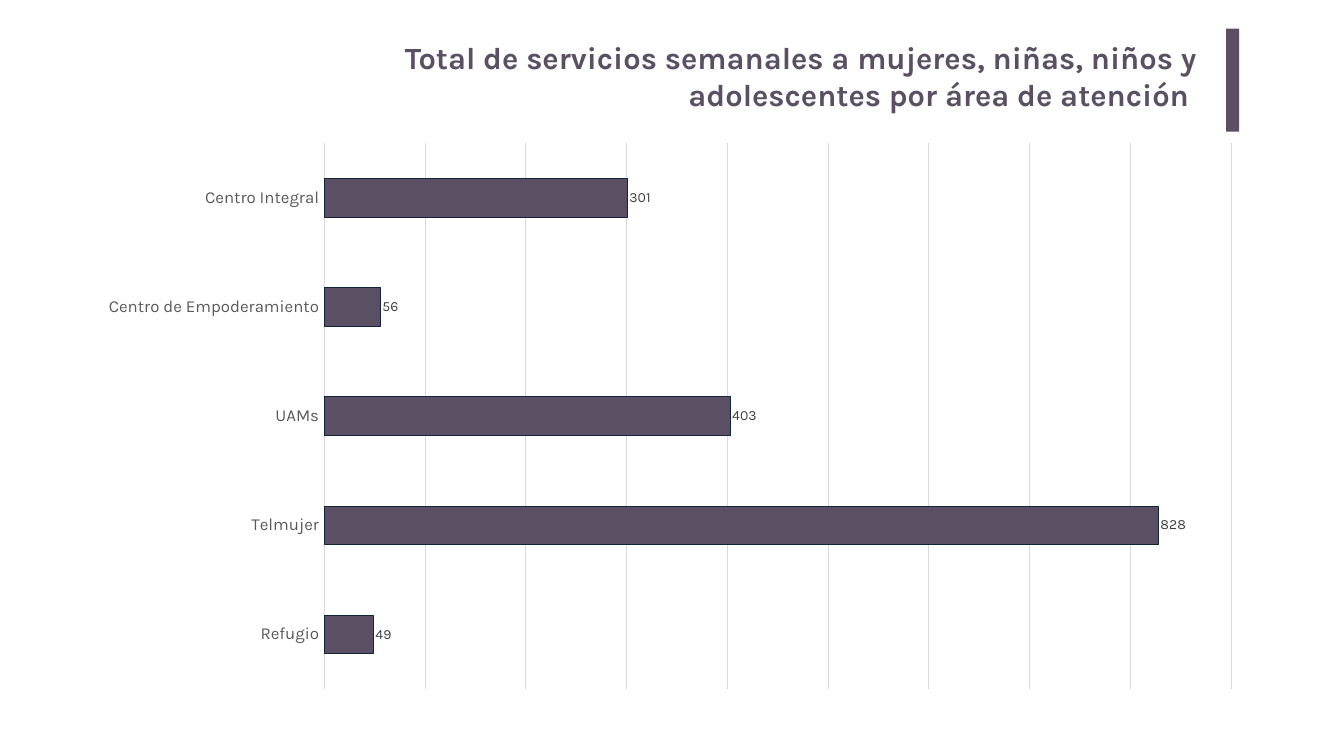
from lxml import etree
from pptx import Presentation
from pptx.chart.data import CategoryChartData
from pptx.dml.color import RGBColor
from pptx.enum.chart import XL_CHART_TYPE, XL_LABEL_POSITION, XL_TICK_LABEL_POSITION, XL_TICK_MARK
from pptx.enum.shapes import MSO_SHAPE
from pptx.enum.text import MSO_ANCHOR, MSO_AUTO_SIZE, PP_ALIGN
from pptx.oxml.ns import qn
from pptx.util import Inches, Pt

PURPLE = RGBColor(0x5B, 0x4F, 0x63)
NAVY = RGBColor(0x0F, 0x24, 0x3E)
GRID = RGBColor(0xD9, 0xD9, 0xD9)
AXIS_TEXT = RGBColor(0x59, 0x59, 0x59)
LABEL_TEXT = RGBColor(0x40, 0x40, 0x40)
BLACK = RGBColor(0, 0, 0)

TITLE = "Total de servicios semanales a mujeres, niñas, niños y adolescentes por área de atención "
SERVICES = {
    "Centro Integral": 301,
    "Centro de Empoderamiento": 56,
    "UAMs": 403,
    "Telmujer": 828,
    "Refugio": 49,
}


class SlideBuilder:
    font_name = "Karla"

    def __init__(self, slide):
        self.slide = slide

    def style_font(self, font, size, color, bold=False):
        for name, value in {"name": self.font_name, "size": Pt(size), "bold": bold}.items():
            setattr(font, name, value)
        font.color.rgb = color

    def style_line(self, line, color):
        line.color.rgb = color
        line.width = Pt(0.75)

    def title(self, text, box):
        sp = self.slide.shapes.title
        for name, value in zip(("left", "top", "width", "height"), box):
            setattr(sp, name, Inches(value))
        tf = sp.text_frame
        frame_format = {
            "word_wrap": True, "auto_size": MSO_AUTO_SIZE.NONE,
            "vertical_anchor": MSO_ANCHOR.TOP,
            "margin_left": Inches(0.2), "margin_right": Inches(0.2),
            "margin_top": Inches(0.1), "margin_bottom": Inches(0.1),
        }
        for name, value in frame_format.items():
            setattr(tf, name, value)
        p = tf.paragraphs[0]
        p.alignment = PP_ALIGN.RIGHT
        p.space_before = Pt(4)
        r = p.add_run()
        r.text = text
        self.style_font(r.font, 44, PURPLE, bold=True)

    def bar(self, box, color):
        sp = self.slide.shapes.add_shape(MSO_SHAPE.RECTANGLE, *map(Inches, box))
        sp.shadow.inherit = False
        sp.fill.solid()
        sp.fill.fore_color.rgb = color
        sp.line.fill.background()

    def bar_chart(self, values, box, plot_box):
        data = CategoryChartData()
        data.categories = list(values)
        data.add_series("Series 1", list(values.values()))
        chart = self.slide.shapes.add_chart(
            XL_CHART_TYPE.BAR_CLUSTERED, *map(Inches, box), data).chart
        chart.has_legend = False
        chart.has_title = False
        self.style_font(chart.font, 10, BLACK)

        # Axes
        cat = chart.category_axis
        cat.reverse_order = True
        cat.major_tick_mark = XL_TICK_MARK.NONE
        cat.tick_label_position = XL_TICK_LABEL_POSITION.LOW
        self.style_font(cat.tick_labels.font, 24, AXIS_TEXT)
        self.style_line(cat.format.line, GRID)
        val = chart.value_axis
        axis_format = {"minimum_scale": 0, "maximum_scale": 900, "major_unit": 100,
                       "has_major_gridlines": True, "visible": False}
        for name, value in axis_format.items():
            setattr(val, name, value)
        self.style_line(val.major_gridlines.format.line, GRID)

        # Series and value labels
        plot = chart.plots[0]
        plot.gap_width = 182
        plot.vary_by_categories = False
        series = plot.series[0]
        series.format.fill.solid()
        series.format.fill.fore_color.rgb = PURPLE
        self.style_line(series.format.line, NAVY)
        labels = series.data_labels
        labels.show_value = True
        labels.position = XL_LABEL_POSITION.OUTSIDE_END
        self.style_font(labels.font, 20, LABEL_TEXT)
        self.place_plot(chart, box, plot_box)

    def place_plot(self, chart, box, plot_box):
        """Fix the inner plot area as fractions of the chart frame."""
        left, top, width, height = box
        x, y, w, h = plot_box
        parts = {"layoutTarget": "inner", "xMode": "edge", "yMode": "edge",
                 "x": (x - left) / width, "y": (y - top) / height,
                 "w": w / width, "h": h / height}
        area = chart.plots[0]._element.getparent()
        for old in area.findall(qn("c:layout")):
            area.remove(old)
        layout = etree.Element(qn("c:layout"))
        area.insert(0, layout)
        manual = etree.SubElement(layout, qn("c:manualLayout"))
        for name, value in parts.items():
            etree.SubElement(manual, qn(f"c:{name}")).set("val", str(value))


def main():
    prs = Presentation()
    prs.slide_width, prs.slide_height = Inches(26.67), Inches(15)
    s = SlideBuilder(prs.slides.add_slide(prs.slide_layouts[5]))

    # Heading with its accent bar
    s.title(TITLE, (6.56, 0.67, 17.4, 2.04))
    s.bar((24.33, 0.57, 0.26, 2.04), PURPLE)

    # Weekly services by area
    s.bar_chart(SERVICES, (1.77, 2.61, 23.13, 11.32), (6.43, 2.84, 18, 10.83))

    prs.save("out.pptx")


if __name__ == "__main__":
    main()
